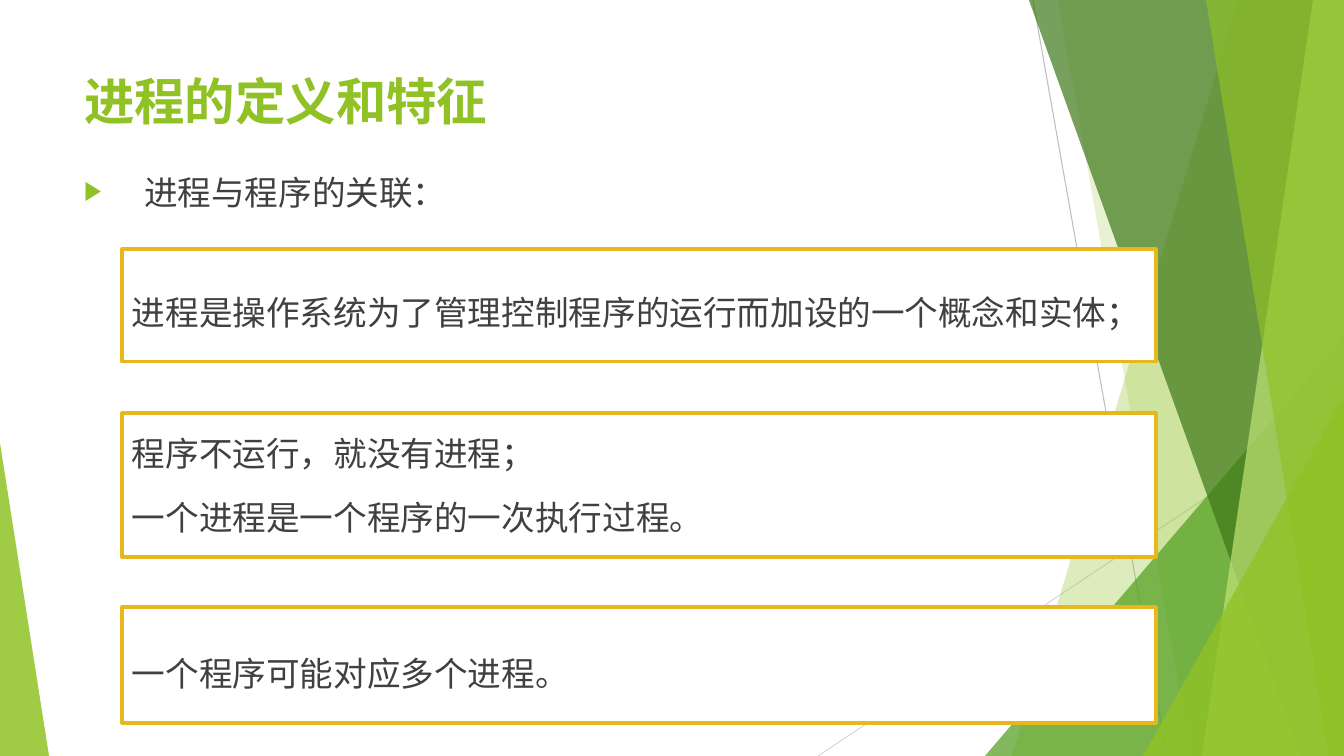
from lxml import etree
from pptx import Presentation
from pptx.dml.color import RGBColor
from pptx.enum.shapes import MSO_CONNECTOR, MSO_SHAPE
from pptx.enum.text import MSO_ANCHOR, PP_ALIGN
from pptx.oxml.ns import qn
from pptx.util import Emu, Pt

STRAIGHT = MSO_CONNECTOR.STRAIGHT
RECTANGLE = MSO_SHAPE.RECTANGLE
MIDDLE = MSO_ANCHOR.MIDDLE
LEFT = PP_ALIGN.LEFT
SCALE = 914400 / 100.8
WIDTH, HEIGHT = 1344, 756


def px(length):
    return Emu(round(length * SCALE))


def color(hex_code):
    return RGBColor.from_string(hex_code)


class ProcessSlide:
    """Holds the slide and its style, and draws each kind of element."""

    font = "Noto Sans CJK SC"
    green, gold, body, white = "90C225", "E6B81E", "404040", "FFFFFF"

    def __init__(self, slide):
        self.slide = slide
        self.shapes = slide.shapes

    def line(self, start, end, hex_code):
        ray = self.shapes.add_connector(STRAIGHT, *map(px, start + end))
        ray.line.color.rgb = color(hex_code)
        ray.line.width = Pt(0.75)
        etree.SubElement(ray._element.spPr, qn("a:effectLst"))

    def facet(self, points, hex_code, opacity):
        outline = self.shapes.build_freeform(*points[0], scale=SCALE)
        outline.add_line_segments(points[1:], close=True)
        facet = outline.convert_to_shape()
        facet.shadow.inherit = False
        facet.fill.solid()
        facet.fill.fore_color.rgb = color(hex_code)
        facet.line.fill.background()
        fill = facet._element.spPr.find(qn("a:solidFill"))
        etree.SubElement(fill[0], qn("a:alpha"), val=str(opacity * 1000))

    def add_lines(self, shape, lines, size, hex_code, bold=False, left=0, top=0, gap=0):
        frame = shape.text_frame
        frame.word_wrap = True
        frame.vertical_anchor = MIDDLE
        frame.margin_left, frame.margin_top = px(left), px(top)
        frame.margin_right = frame.margin_bottom = 0
        for index, sentence in enumerate(lines):
            paragraph = frame.add_paragraph() if index else frame.paragraphs[0]
            paragraph.alignment = LEFT
            if index:
                paragraph.space_before = Pt(gap)
            run = paragraph.add_run()
            run.text = sentence
            run.font.name = self.font
            run.font.size = Pt(size)
            run.font.bold = bold
            run.font.color.rgb = color(hex_code)
            etree.SubElement(run._r.get_or_add_rPr(), qn("a:ea"), typeface=self.font)
        return frame

    def label(self, box, sentence, size, hex_code, bold=False):
        shape = self.shapes.add_textbox(*map(px, box))
        return self.add_lines(shape, [sentence], size, hex_code, bold)

    def bullet(self, box, sentence):
        paragraph = self.label(box, sentence, 24, self.body).paragraphs[0]
        props = paragraph._p.get_or_add_pPr()
        props.set("marL", str(px(60)))
        props.set("indent", str(px(-60)))
        tint = etree.SubElement(props, qn("a:buClr"))
        etree.SubElement(tint, qn("a:srgbClr"), val=self.green)
        etree.SubElement(props, qn("a:buSzPct"), val="79000")
        etree.SubElement(props, qn("a:buFont"), typeface="Courier New")
        etree.SubElement(props, qn("a:buChar"), char="▶")

    def panel(self, top, height, lines, inset):
        panel = self.shapes.add_shape(RECTANGLE, *map(px, (122, top, 1034, height)))
        panel.shadow.inherit = False
        panel.fill.solid()
        panel.fill.fore_color.rgb = color(self.white)
        panel.line.color.rgb = color(self.gold)
        panel.line.width = Pt(2.25)
        self.add_lines(panel, lines, 24, self.body, left=10, top=inset, gap=17.5)


def main():
    deck = Presentation()
    deck.slide_width, deck.slide_height = px(WIDTH), px(HEIGHT)
    page = ProcessSlide(deck.slides.add_slide(deck.slide_layouts[6]))

    page.line((1033, 0), (1167, HEIGHT), "BEBEBE")
    page.line((WIDTH, 406), (818, HEIGHT), "D9D9D9")

    top_right, bottom_right = (WIDTH, 0), (WIDTH, HEIGHT)
    facets = [
        ([top_right, (1238, 0), (1012, HEIGHT), bottom_right], "90C225", 30),
        ([top_right, (1058, 0), (1191, HEIGHT), bottom_right], "90C225", 20),
        ([(WIDTH, 336), (985, HEIGHT), bottom_right], "539F20", 72),
        ([top_right, (1029, 0), (1301, HEIGHT), bottom_right], "3E7818", 70),
        ([top_right, (1313, 0), (1202, HEIGHT), bottom_right], "C0E374", 70),
        ([top_right, (1206, 0), (1329, HEIGHT), bottom_right], "90C225", 65),
        ([(WIDTH, 396), (1143, HEIGHT), bottom_right], "90C225", 80),
        ([(0, 443), (0, HEIGHT), (49, HEIGHT)], "90C225", 85),
    ]
    for points, hex_code, opacity in facets:
        page.facet(points, hex_code, opacity)

    page.label((84, 68, 420, 64), "进程的定义和特征", 36, page.green, bold=True)
    page.bullet((84, 170, 380, 44), "进程与程序的关联：")

    panels = [
        (249, 113, ["进程是操作系统为了管理控制程序的运行而加设的一个概念和实体；"], 14),
        (413, 144, ["程序不运行，就没有进程；", "一个进程是一个程序的一次执行过程。"], 0),
        (607, 116, ["一个程序可能对应多个进程。"], 16),
    ]
    for top, height, lines, inset in panels:
        page.panel(top, height, lines, inset)

    deck.save("out.pptx")


if __name__ == "__main__":
    main()
